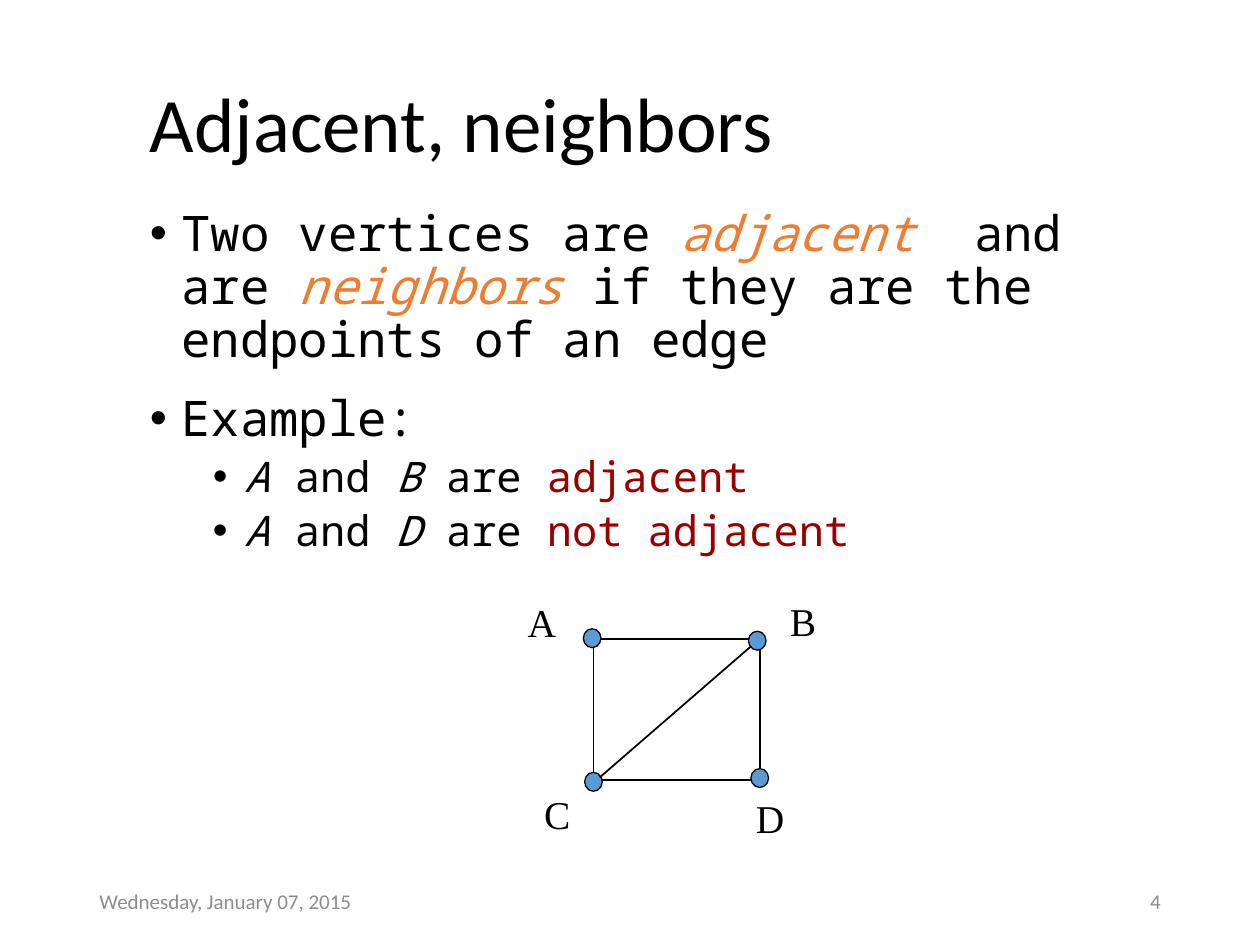
"""Build the slide on adjacent vertices with its example graph."""
from dataclasses import dataclass

import pptx
import pptx.dml.color
import pptx.enum.shapes
import pptx.enum.text
import pptx.oxml
import pptx.oxml.ns
import pptx.util
from pptx.util import Inches

BLACK, ORANGE, RED, BLUE, GRAY = "000000", "ED7D31", "990000", "5B9BD5", "8C8C8C"
ALIGN = pptx.enum.text.PP_ALIGN
ANCHOR = pptx.enum.text.MSO_ANCHOR
SHAPE = pptx.enum.shapes.MSO_SHAPE
DOT_W, DOT_H = 0.14, 0.15


@dataclass
class Run:
    text: str
    color: str = BLACK
    italic: bool = False


@dataclass
class Bullet:
    runs: list[Run]
    level: int = 0
    size: float = 28
    before: float = 10
    left: float = 0.25


@dataclass
class Vertex:
    name: str
    x: float
    y: float
    label_x: float
    label_y: float
    label_w: float


@dataclass
class Label:
    text: str
    x: float
    y: float
    w: float
    h: float
    size: float
    font: str
    color: str = BLACK
    align: ALIGN = ALIGN.LEFT
    anchor: ANCHOR = ANCHOR.TOP


BULLETS = [
    Bullet([Run("Two vertices are "), Run("adjacent", ORANGE, True), Run("  and are "),
            Run("neighbors", ORANGE, True),
            Run(" if they are the endpoints of an edge")]),
    Bullet([Run("Example:")], before=15),
] + [
    Bullet([Run("A", italic=True), Run(" and "), Run(other, italic=True), Run(" are "),
            Run(verdict, RED)], level=1, size=24, before=5, left=0.75)
    for other, verdict in (("B", "adjacent"), ("D", "not adjacent"))
]
VERTICES = [
    Vertex("A", 4.63, 4.99, 4.09, 4.70, 0.43),
    Vertex("B", 5.94, 5.01, 6.17, 4.69, 0.50),
    Vertex("C", 4.64, 6.13, 4.22, 6.22, 0.41),
    Vertex("D", 5.96, 6.10, 5.90, 6.25, 0.57),
]
FOOTERS = [
    Label("Wednesday, January 07, 2015", 0.69, 6.95, 2.25, 0.4, 12, "Calibri", GRAY,
          anchor=ANCHOR.MIDDLE),
    Label("4", 7.06, 6.95, 2.25, 0.4, 12, "Calibri", GRAY, ALIGN.RIGHT, ANCHOR.MIDDLE),
]


def rgb(value: str) -> pptx.dml.color.RGBColor:
    """Turn a hex string into a colour."""
    return pptx.dml.color.RGBColor.from_string(value)


def place(sp, x: float, y: float, w: float, h: float) -> None:
    """Move and size a shape, in inches."""
    sp.left, sp.top, sp.width, sp.height = map(Inches, (x, y, w, h))


def style(r, size: float, font: str, color: str = BLACK, italic: bool = False) -> None:
    """Format one run."""
    r.font.size, r.font.name, r.font.italic = pptx.util.Pt(size), font, italic
    r.font.color.rgb = rgb(color)


def add_bullet(p, bullet: Bullet) -> None:
    """Fill a paragraph with a bullet and its runs."""
    p.level, p.line_spacing = bullet.level, 0.9
    p.space_before = pptx.util.Pt(bullet.before)
    ppr = p._p.get_or_add_pPr()
    ppr.set("marL", str(Inches(bullet.left)))
    ppr.set("indent", str(Inches(-0.25)))
    ns = pptx.oxml.ns.nsdecls("a")
    for xml in (f'<a:buFont {ns} typeface="Arial"/>', f'<a:buChar {ns} char="•"/>'):
        ppr.append(pptx.oxml.parse_xml(xml))
    for run in bullet.runs:
        r = p.add_run()
        r.text = run.text
        style(r, bullet.size, "Noto Sans Mono", run.color, run.italic)


def add_label(s, label: Label) -> None:
    """Add a one-line text box."""
    sp = s.shapes.add_textbox(*map(Inches, (label.x, label.y, label.w, label.h)))
    tf = sp.text_frame
    tf.word_wrap, tf.vertical_anchor = True, label.anchor
    tf.text = label.text
    p = tf.paragraphs[0]
    p.alignment = label.align
    style(p.runs[0], label.size, label.font, label.color)


def add_outline(s, kind: SHAPE, x: float, y: float, w: float, h: float,
                width: float, fill: str = "") -> None:
    """Add a black-outlined shape, filled when a colour is given."""
    sp = s.shapes.add_shape(kind, *map(Inches, (x, y, w, h)))
    sp.shadow.inherit = False
    sp.line.color.rgb, sp.line.width = rgb(BLACK), pptx.util.Pt(width)
    if fill:
        sp.fill.solid()
        sp.fill.fore_color.rgb = rgb(fill)
    else:
        sp.fill.background()


def add_graph(s) -> None:
    """Draw the edges, vertices and names of the graph."""
    add_outline(s, SHAPE.RECTANGLE, 4.71, 5.07, 1.32, 1.12, 1)
    for v in VERTICES:
        add_outline(s, SHAPE.OVAL, v.x, v.y, DOT_W, DOT_H, 0.75, BLUE)
    edge = s.shapes.add_connector(pptx.enum.shapes.MSO_CONNECTOR.STRAIGHT,
                                  *map(Inches, (4.76, 6.17, 5.96, 5.13)))
    edge.line.color.rgb, edge.line.width = rgb(BLACK), pptx.util.Pt(1)
    edge._element.spPr.append(
        pptx.oxml.parse_xml(f'<a:effectLst {pptx.oxml.ns.nsdecls("a")}/>'))
    for v in VERTICES:
        add_label(s, Label(v.name, v.label_x, v.label_y, v.label_w, 0.48, 22.5,
                           "Times New Roman"))


def main() -> None:
    """Build and save the slide."""
    prs = pptx.Presentation()
    prs.slide_width, prs.slide_height = Inches(10), Inches(7.5)
    s = prs.slides.add_slide(prs.slide_layouts[1])

    title, body = s.shapes.title, s.placeholders[1]
    place(title, 1.09, 0.53, 7.82, 0.97)
    title.text_frame.text = "Adjacent, neighbors"
    title.text_frame.vertical_anchor = ANCHOR.MIDDLE
    p = title.text_frame.paragraphs[0]
    p.alignment, p.line_spacing = ALIGN.LEFT, 0.9
    style(p.runs[0], 44, "Calibri")

    place(body, 1.09, 1.61, 7.82, 5.05)
    tf = body.text_frame
    tf.auto_size = pptx.enum.text.MSO_AUTO_SIZE.NONE
    for i, bullet in enumerate(BULLETS):
        add_bullet(tf.add_paragraph() if i else tf.paragraphs[0], bullet)

    add_graph(s)
    for footer in FOOTERS:
        add_label(s, footer)
    prs.save("out.pptx")


main()
